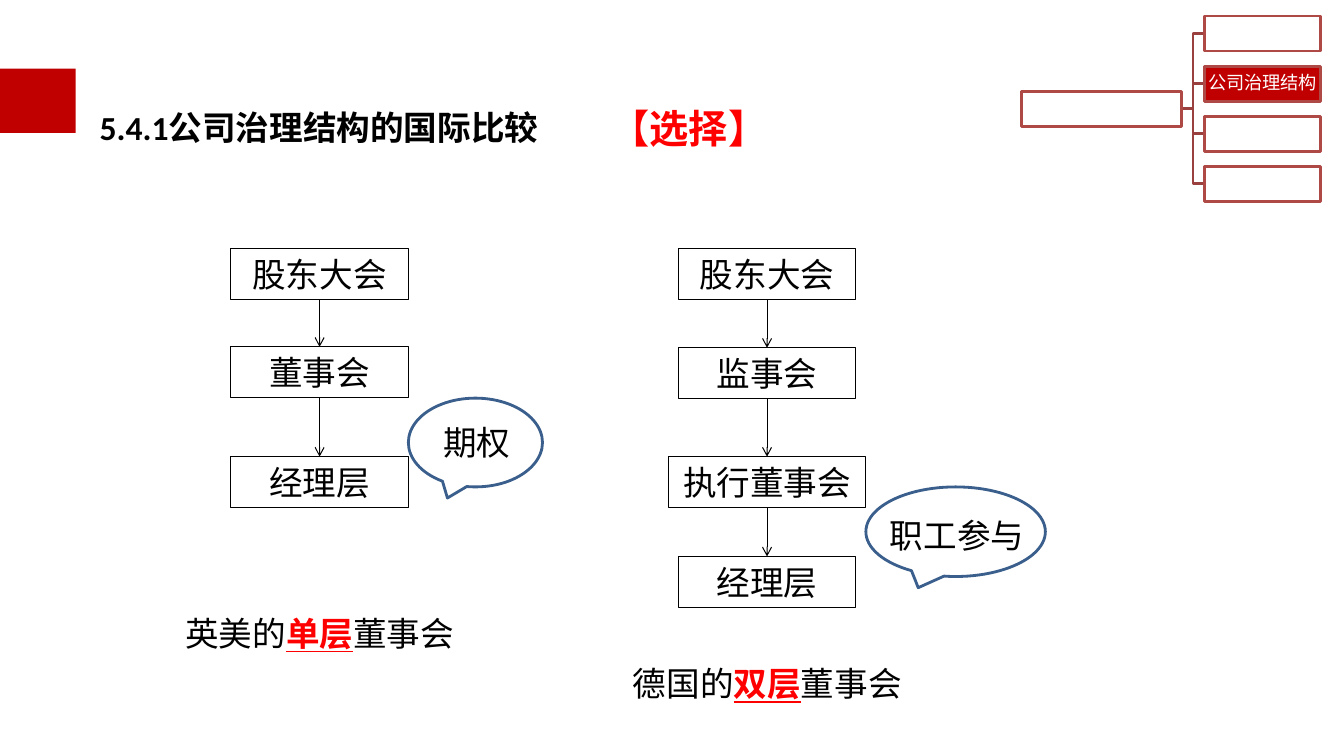
import pptx
import pptx.util
import pptx.dml.color
import pptx.enum.shapes
import pptx.enum.text
import pptx.oxml.ns
from lxml import etree
from dataclasses import dataclass

Pt = pptx.util.Pt
MSO = pptx.enum.shapes.MSO_SHAPE
ALIGN = pptx.enum.text.PP_ALIGN
ANCHOR = pptx.enum.text.MSO_ANCHOR


@dataclass(frozen=True)
class Theme:
    font: str = "Calibri"
    black: str = "000000"
    white: str = "FFFFFF"
    accent: str = "C00000"
    key: str = "FF0000"
    branch: str = "9A403E"
    frame: str = "AE4946"
    bubble: str = "3A5F8C"
    body: int = 24
    tag: int = 28
    nav: int = 13
    thin: float = 0.75
    thick: float = 2


T = Theme()

TITLE = "5.4.1公司治理结构的国际比较"
TAG = "【选择】"
NAV = ["", "公司治理结构", "", ""]
CHAINS = [
    (228.3, [("股东大会", 177.8, 126.7), ("董事会", 247.8, 126.7),
             ("经理层", 326.2, 126.7)]),
    (547.9, [("股东大会", 177.8, 126.7), ("监事会", 248.4, 126.7),
             ("执行董事会", 326.2, 141.4), ("经理层", 397.5, 126.7)]),
]
CAPTIONS = [
    (125.3, 434.2, "英美的", "单层", "董事会"),
    (445, 470.2, "德国的", "双层", "董事会"),
]
CALLOUTS = [
    ("期权", (291.7, 284.4, 95.8, 63.4), (309.6, 298.1, 62.6)),
    ("职工参与", (618.5, 347.8, 128.2, 64), (628.6, 364.3, 110.2)),
]
BOX_H = 36.3
NAV_X, NAV_Y, NAV_W, NAV_H, NAV_PITCH = 860.4, 11.5, 82.8, 25, 35.8
ROOT_X, ROOT_W = 729.4, 114.5

prs = pptx.Presentation()
prs.slide_width, prs.slide_height = Pt(960), Pt(540)
shapes = prs.slides.add_slide(prs.slide_layouts[6]).shapes


def rgb(value):
    return pptx.dml.color.RGBColor.from_string(value)


def paint(sp, fill=None, line=None, width=T.thin):
    sp.shadow.inherit = False
    if fill:
        sp.fill.solid()
        sp.fill.fore_color.rgb = rgb(fill)
    else:
        sp.fill.background()
    if line:
        sp.line.color.rgb = rgb(line)
        sp.line.width = Pt(width)
    else:
        sp.line.fill.background()


def add_shape(kind, box, **style):
    sp = shapes.add_shape(kind, *map(Pt, box))
    paint(sp, **style)
    return sp


def write(sp, runs, size=T.body, align=ALIGN.LEFT, anchor=ANCHOR.TOP, wrap=True):
    tf = sp.text_frame
    tf.word_wrap = wrap
    tf.vertical_anchor = anchor
    p = tf.paragraphs[0]
    p.alignment = align
    for text, color, bold, underline in runs:
        r = p.add_run()
        r.text = text
        r.font.name = T.font
        r.font.size = Pt(size)
        r.font.color.rgb = rgb(color)
        r.font.bold = bold
        r.font.underline = underline
    return p


def plain(text, color=T.black, bold=False):
    return (text, color, bold, False)


def add_text(box, runs, **style):
    return write(shapes.add_textbox(*map(Pt, box)), runs, **style)


def add_arrow(upper, lower):
    cx = shapes.add_connector(pptx.enum.shapes.MSO_CONNECTOR.STRAIGHT, 0, 0, 0, 0)
    cx.begin_connect(upper, 2)
    cx.end_connect(lower, 0)
    cx.line.color.rgb = rgb(T.black)
    cx.line.width = Pt(T.thin)
    ln = cx.line._get_or_add_ln()
    etree.SubElement(ln, pptx.oxml.ns.qn("a:tailEnd"), type="arrow")
    etree.SubElement(ln.getparent(), pptx.oxml.ns.qn("a:effectLst"))


def add_navigation():
    tops = [NAV_Y + i * NAV_PITCH for i in range(len(NAV))]
    root_top = (tops[0] + tops[-1]) / 2
    root_mid = root_top + NAV_H / 2
    start = ROOT_X + ROOT_W
    bend = (start + NAV_X) / 2
    for top in reversed(tops):
        mid = top + NAV_H / 2
        points = [(bend, root_mid), (bend, mid), (NAV_X, mid)]
        fb = shapes.build_freeform(Pt(start), Pt(root_mid), scale=1.0)
        fb.add_line_segments([(Pt(x), Pt(y)) for x, y in points], close=False)
        paint(fb.convert_to_shape(), line=T.branch, width=T.thick)
    add_shape(MSO.RECTANGLE, (ROOT_X, root_top, ROOT_W, NAV_H),
              fill=T.white, line=T.frame, width=T.thick)
    for label, top in zip(NAV, tops):
        sp = add_shape(MSO.RECTANGLE, (NAV_X, top, NAV_W, NAV_H),
                       fill=T.accent if label else T.white,
                       line=T.frame, width=T.thick)
        if label:
            tf = sp.text_frame
            tf.margin_left = tf.margin_right = Pt(0.7)
            tf.margin_top = tf.margin_bottom = Pt(0.7)
            p = write(sp, [plain(label, T.white)], size=T.nav,
                      align=ALIGN.CENTER, anchor=ANCHOR.MIDDLE)
            p.line_spacing = 0.9


def add_chain(center, steps):
    boxes = []
    for label, top, width in steps:
        sp = add_shape(MSO.RECTANGLE, (center - width / 2, top, width, BOX_H),
                       line=T.black)
        write(sp, [plain(label)], align=ALIGN.CENTER)
        boxes.append(sp)
    for upper, lower in zip(boxes, boxes[1:]):
        add_arrow(upper, lower)


def main():
    add_shape(MSO.RECTANGLE, (0, 49, 54, 46), fill=T.accent)
    p = add_text((64.1, 58.3, 572.4, 51.1), [plain(TITLE, bold=True)])
    p.line_spacing = 1.5
    add_text((429.1, 71.3, 167, 41), [plain(TAG, T.key, True)], size=T.tag)
    add_navigation()
    for center, steps in CHAINS:
        add_chain(center, steps)
    for x, y, before, key, after in CAPTIONS:
        add_text((x, y, 206.6, BOX_H),
                 [plain(before), (key, T.key, True, True), plain(after)], wrap=False)
    for label, bubble, (x, y, w) in CALLOUTS:
        add_shape(MSO.OVAL_CALLOUT, bubble, line=T.bubble, width=T.thick)
        add_text((x, y, w, BOX_H), [plain(label)], wrap=False)
    prs.save("out.pptx")


if __name__ == "__main__":
    main()
